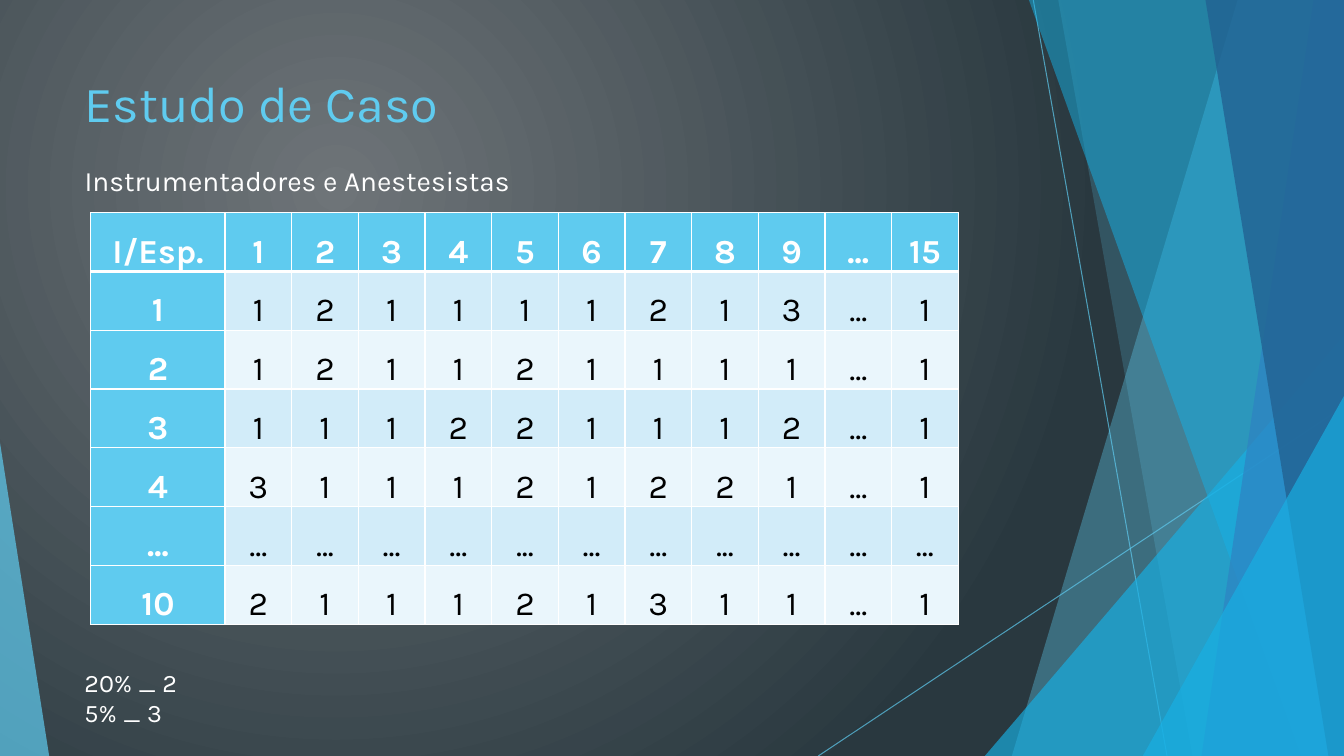
from pptx import Presentation
from pptx.dml.color import RGBColor
from pptx.enum.shapes import MSO_CONNECTOR, MSO_SHAPE
from pptx.enum.text import MSO_ANCHOR, MSO_AUTO_SIZE, PP_ALIGN
from pptx.oxml import parse_xml
from pptx.oxml.ns import qn
from pptx.util import Cm, Pt
from lxml.etree import SubElement

WIDTH, HEIGHT = 33.87, 19.05
SKY, CYAN, WHITE, BLACK = "5FCBEF", "17B0E4", "FFFFFF", "000000"
BANDS = ["D2ECF9", "EAF6FC"]
NAMESPACE = "http://schemas.openxmlformats.org/drawingml/2006/main"

ASSIGNMENTS = [
    "I/Esp. 1 2 3 4 5 6 7 8 9 ... 15",
    "1 1 2 1 1 1 1 2 1 3 ... 1",
    "2 1 2 1 1 2 1 1 1 1 ... 1",
    "3 1 1 1 2 2 1 1 1 2 ... 1",
    "4 3 1 1 1 2 1 2 2 1 ... 1",
    "... ... ... ... ... ... ... ... ... ... ... ...",
    "10 2 1 1 1 2 1 3 1 1 ... 1",
]


def color(value):
    return RGBColor.from_string(value)


class CaseStudyPage:
    """Holds the style and the current slide and draws each kind of element."""

    font = "Karla"

    def __init__(self, deck):
        self.page = deck.slides.add_slide(deck.slide_layouts[1])
        self.shapes = self.page.shapes

    def background(self, inner, outer):
        fill = self.page.background.fill
        fill.gradient()
        for stop, value in zip(fill.gradient_stops, (inner, outer)):
            stop.color.rgb = color(value)
        gradient = self.page.element.find(".//" + qn("a:gradFill"))
        linear = gradient.find(qn("a:lin"))
        gradient.replace(linear, parse_xml(
            f'<a:path xmlns:a="{NAMESPACE}" path="circle">'
            '<a:fillToRect l="50000" t="50000" r="100000" b="100000"/></a:path>'))

    def set_alpha(self, shape, percent):
        tint = shape.element.spPr.find(".//" + qn("a:srgbClr"))
        SubElement(tint, qn("a:alpha"), val=str(percent * 1000))

    def paint(self, shape, value, percent):
        shape.shadow.inherit = False
        shape.fill.solid()
        shape.fill.fore_color.rgb = color(value)
        shape.line.fill.background()
        self.set_alpha(shape, percent)

    def line(self, start, end):
        points = [Cm(length) for length in start + end]
        connector = self.shapes.add_connector(MSO_CONNECTOR.STRAIGHT, *points)
        connector.line.color.rgb = color(SKY)
        connector.line.width = Pt(0.75)
        self.set_alpha(connector, 70)
        SubElement(connector.element.spPr, qn("a:effectLst"))

    def facet(self, top, bottom, value, percent):
        builder = self.shapes.build_freeform(Cm(top), 0)
        corners = [(WIDTH, 0), (WIDTH, HEIGHT), (bottom, HEIGHT)]
        builder.add_line_segments([(Cm(x), Cm(y)) for x, y in corners])
        self.paint(builder.convert_to_shape(), value, percent)

    def triangle(self, left, top, width, apex, value, percent):
        shape = self.shapes.add_shape(
            MSO_SHAPE.ISOSCELES_TRIANGLE, Cm(left), Cm(top), Cm(width), Cm(HEIGHT - top))
        shape.adjustments[0] = apex
        self.paint(shape, value, percent)

    def format(self, para, size, value, bold=False):
        for span in para.runs:
            span.font.name = self.font
            span.font.size = Pt(size)
            span.font.bold = bold
            span.font.color.rgb = color(value)

    def fill_box(self, box, text, size, value):
        frame = box.text_frame
        frame.word_wrap = True
        frame.auto_size = MSO_AUTO_SIZE.NONE
        frame.vertical_anchor = MSO_ANCHOR.TOP
        para = frame.paragraphs[0]
        para.text = text
        para.alignment = PP_ALIGN.LEFT
        para.space_before = Pt(0)
        self.format(para, size, value)
        return para

    def placeholder(self, index, place, text, size, value):
        box = self.shapes.placeholders[index]
        box.left, box.top, box.width, box.height = [Cm(length) for length in place]
        box.element.getparent().append(box.element)
        para = self.fill_box(box, text, size, value)
        settings = para._p.get_or_add_pPr()
        settings.set("marL", "0")
        settings.set("indent", "0")
        SubElement(settings, qn("a:buNone"))

    def text(self, place, text, size, value):
        box = self.shapes.add_textbox(*[Cm(length) for length in place])
        self.fill_box(box, text, size, value)

    def border(self, cell, side, points):
        settings = cell._tc.get_or_add_tcPr()
        edge = SubElement(settings, qn("a:ln" + side), w=str(Pt(points)))
        SubElement(SubElement(edge, qn("a:solidFill")), qn("a:srgbClr"), val=WHITE)

    def cell(self, cell, text, row, column):
        heading = row == 0 or column == 0
        thick = {(0, "B"), (1, "T")}
        for side in "LRTB":
            self.border(cell, side, 3 if (row, side) in thick else 1)
        cell.fill.solid()
        cell.fill.fore_color.rgb = color(SKY if heading else BANDS[(row - 1) % 2])
        cell.margin_left = cell.margin_right = Cm(0.18)
        cell.margin_top = cell.margin_bottom = 0
        para = cell.text_frame.paragraphs[0]
        para.text = text
        para.alignment = PP_ALIGN.CENTER
        para.line_spacing = 1.5
        self.format(para, 24, WHITE if heading else BLACK, heading)

    def table(self, left, top, rows):
        widths = [3.38] + [1.68] * (len(rows[0]) - 1)
        height = 1.42
        table = self.shapes.add_table(
            len(rows), len(widths), Cm(left), Cm(top),
            Cm(sum(widths)), Cm(height * len(rows))).table
        for column, width in zip(table.columns, widths):
            column.width = Cm(width)
        for row, texts in enumerate(rows):
            table.rows[row].height = Cm(height)
            for column, text in enumerate(texts):
                self.cell(table.cell(row, column), text, row, column)


def main():
    deck = Presentation()
    deck.slide_width, deck.slide_height = Cm(WIDTH), Cm(HEIGHT)
    study = CaseStudyPage(deck)
    study.background("6E7478", "29383F")

    study.line((26.04, 0), (29.41, HEIGHT))
    study.line((WIDTH, 10.24), (20.62, HEIGHT))
    study.facet(31.19, 25.5, SKY, 36)
    study.facet(26.67, 30.05, SKY, 20)
    study.triangle(24.82, 8.46, 9.05, 1, CYAN, 66)
    study.facet(25.93, 32.79, CYAN, 50)
    study.facet(33.1, 30.28, "2E83C3", 70)
    study.facet(30.38, 33.48, "226292", 80)
    study.triangle(28.8, 9.98, 5.07, 1, CYAN, 66)
    study.triangle(0, 11.15, 1.24, 0, SKY, 70)

    study.placeholder(0, (1.88, 1.7, 23.88, 3.66), "Estudo de Caso", 36, SKY)
    study.placeholder(1, (1.88, 3.99, 23.88, 1.96), "Instrumentadores e Anestesistas", 20, WHITE)
    study.table(2.29, 5.36, [row.split() for row in ASSIGNMENTS])
    study.text((1.88, 16.69, 16.94, 1.8), "20% _ 2\n5% _ 3", 18, WHITE)
    deck.save("out.pptx")


if __name__ == "__main__":
    main()
